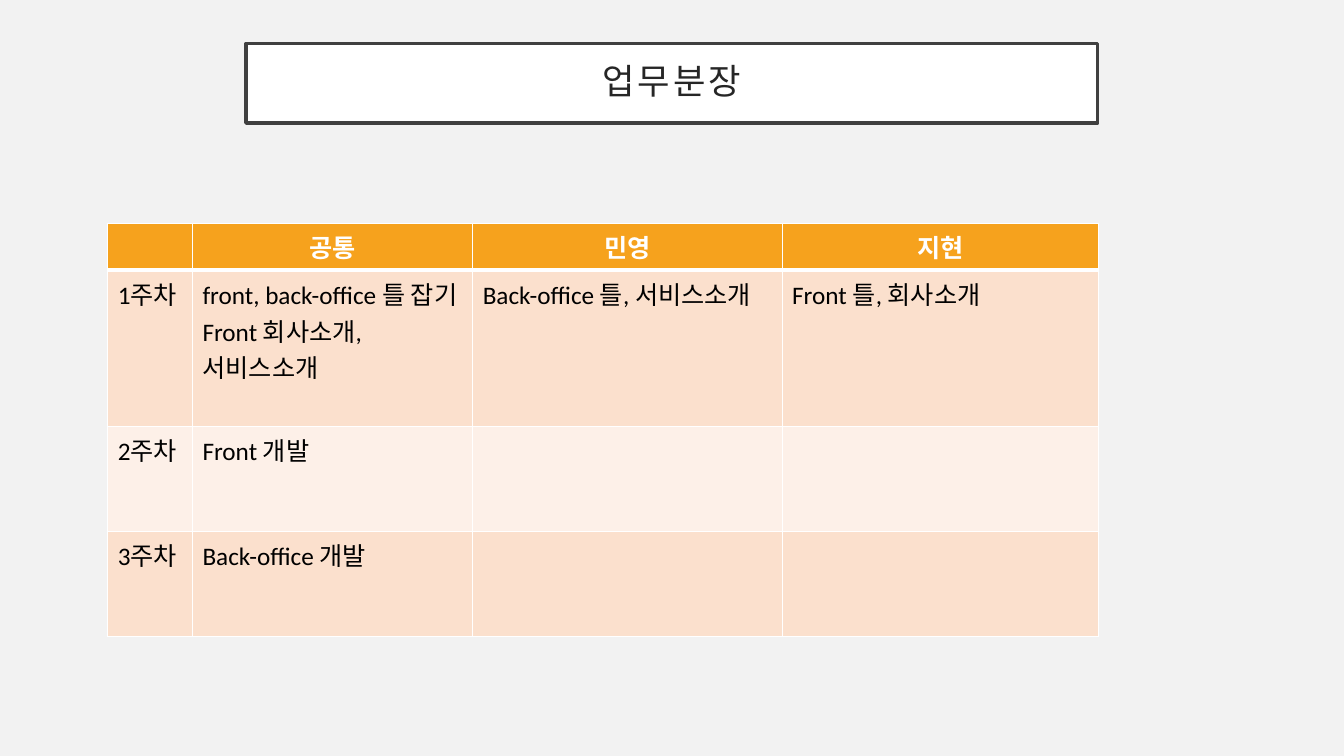
from lxml import etree
from pptx import Presentation
from pptx.dml.color import RGBColor
from pptx.enum.shapes import MSO_SHAPE
from pptx.enum.text import MSO_ANCHOR, PP_ALIGN
from pptx.oxml.ns import qn
from pptx.util import Pt

RECTANGLE = MSO_SHAPE.RECTANGLE
MIDDLE = MSO_ANCHOR.MIDDLE
CENTER, LEFT = PP_ALIGN.CENTER, PP_ALIGN.LEFT

BACKGROUND = RGBColor(0xF2, 0xF2, 0xF2)
WHITE = RGBColor(0xFF, 0xFF, 0xFF)
BLACK = RGBColor(0, 0, 0)
FRAME = RGBColor(0x40, 0x40, 0x40)
TITLE_TEXT = RGBColor(0x26, 0x26, 0x26)
HEADER_FILL = RGBColor(0xF6, 0xA2, 0x1D)
BAND_FILLS = (RGBColor(0xFB, 0xE0, 0xCD), RGBColor(0xFD, 0xF0, 0xE8))

FONT = "Calibri"
COLUMN_WIDTHS = (60.5, 200.2, 221, 226.1)
ROW_HEIGHTS = (25.2, 75, 75, 75)
ROWS = (
    ("", "공통", "민영", "지현"),
    ("1주차", "front, back-office 틀 잡기\nFront 회사소개, 서비스소개",
     "Back-office 틀, 서비스소개", "Front 틀, 회사소개"),
    ("2주차", "Front 개발", "", ""),
    ("3주차", "Back-office 개발", "", ""),
)


def style_font(font, size, color, bold=False):
    font.name = FONT
    font.size = Pt(size)
    font.bold = bold
    font.color.rgb = color


def add_title(page, text, left, top, width, height):
    box = page.shapes.add_shape(RECTANGLE, Pt(left), Pt(top), Pt(width), Pt(height))
    box.shadow.inherit = False
    box.fill.solid()
    box.fill.fore_color.rgb = WHITE
    box.line.color.rgb = FRAME
    box.line.width = Pt(2.5)
    frame = box.text_frame
    frame.word_wrap = True
    frame.vertical_anchor = MIDDLE
    frame.margin_left = frame.margin_right = Pt(14.4)
    frame.margin_top = frame.margin_bottom = Pt(14.4)
    para = frame.paragraphs[0]
    para.alignment = CENTER
    para.line_spacing = 0.9
    style_font(para.font, 25.2, TITLE_TEXT)
    span = para.add_run()
    span.text = text
    span.font._element.set("spc", "200")


def add_borders(cell, top, bottom):
    """Draw white cell borders; call before filling, as the XML order requires."""
    properties = cell._tc.get_or_add_tcPr()
    for side, width in (("L", 1), ("R", 1), ("T", top), ("B", bottom)):
        line = etree.SubElement(properties, qn(f"a:ln{side}"), w=str(Pt(width)))
        fill = etree.SubElement(line, qn("a:solidFill"))
        etree.SubElement(fill, qn("a:srgbClr"), val=str(WHITE))


def fill_cell(cell, text, row_index):
    is_header = row_index == 0
    add_borders(cell, 3 if row_index == 1 else 1, 3 if is_header else 1)
    cell.fill.solid()
    cell.fill.fore_color.rgb = HEADER_FILL if is_header else BAND_FILLS[(row_index - 1) % 2]
    cell.text = text
    for para in cell.text_frame.paragraphs:
        para.alignment = CENTER if is_header else LEFT
        style_font(para.font, 18, WHITE if is_header else BLACK, is_header)


def add_schedule(page, left, top):
    table = page.shapes.add_table(
        len(ROWS), len(COLUMN_WIDTHS), Pt(left), Pt(top),
        Pt(sum(COLUMN_WIDTHS)), Pt(sum(ROW_HEIGHTS))).table
    for column, width in zip(table.columns, COLUMN_WIDTHS):
        column.width = Pt(width)
    for row_index, (row, height, texts) in enumerate(zip(table.rows, ROW_HEIGHTS, ROWS)):
        row.height = Pt(height)
        for cell, text in zip(row.cells, texts):
            fill_cell(cell, text, row_index)


def main():
    deck = Presentation()
    deck.slide_width, deck.slide_height = Pt(960), Pt(540)
    page = deck.slides.add_slide(deck.slide_layouts[6])
    page.background.fill.solid()
    page.background.fill.fore_color.rgb = BACKGROUND
    add_title(page, "업무분장", 175.7, 31, 608.4, 56.9)
    add_schedule(page, 77, 159.8)
    deck.save("out.pptx")


if __name__ == "__main__":
    main()
